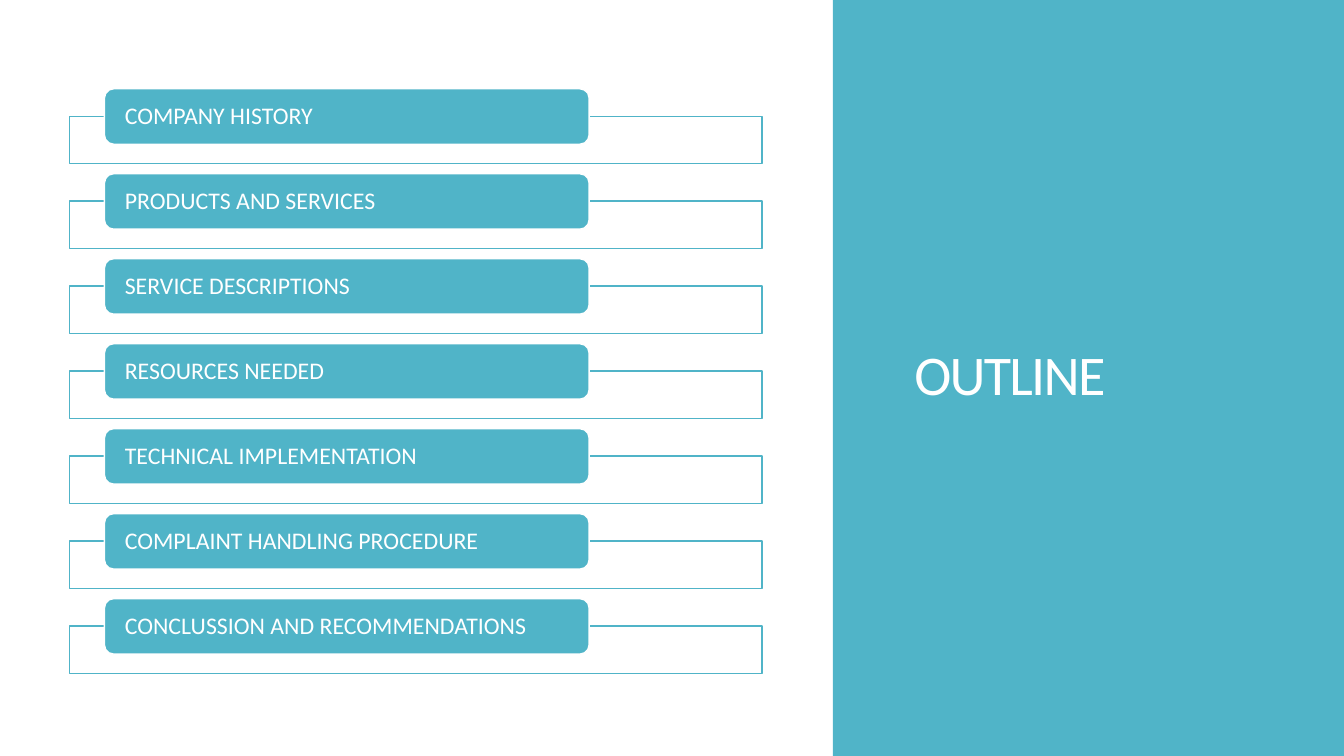
from pptx import Presentation
from pptx.dml.color import RGBColor
from pptx.enum import shapes, text
from pptx.util import Pt

TEAL = "50B4C8"
WHITE = "FFFFFF"


def color(value):
    return RGBColor.from_string(value)


def write(shape, content, size, margin, line_spacing, tracking=None):
    frame = shape.text_frame
    frame.word_wrap = True
    frame.vertical_anchor = text.MSO_ANCHOR.MIDDLE
    frame.margin_left = frame.margin_right = Pt(margin)
    frame.margin_top = frame.margin_bottom = 0
    paragraph = frame.paragraphs[0]
    paragraph.alignment = text.PP_ALIGN.LEFT
    paragraph.line_spacing = line_spacing
    run = paragraph.add_run()
    run.text = content
    run.font.name = "Calibri"
    run.font.size = Pt(size)
    run.font.color.rgb = color(WHITE)
    if tracking is not None:
        run.font._element.set("spc", str(int(tracking * 100)))


presentation = Presentation()
presentation.slide_width = Pt(960)
presentation.slide_height = Pt(540)
slide = presentation.slides.add_slide(presentation.slide_layouts[6])

# Title panel on the right
panel = slide.shapes.add_shape(
    shapes.MSO_SHAPE.RECTANGLE, Pt(595), 0, Pt(365), Pt(540))
panel.shadow.inherit = False
panel.fill.solid()
panel.fill.fore_color.rgb = color(TEAL)
panel.line.fill.background()

title = slide.shapes.add_textbox(Pt(646), Pt(50.4), Pt(263.5), Pt(440))
write(title, "OUTLINE", size=40, margin=7.2, line_spacing=0.85, tracking=-1.2)

# Outline items: an open frame with a label over its top edge
items = [
    "COMPANY HISTORY",
    "PRODUCTS AND SERVICES",
    "SERVICE DESCRIPTIONS",
    "RESOURCES NEEDED",
    "TECHNICAL IMPLEMENTATION",
    "COMPLAINT HANDLING PROCEDURE",
    "CONCLUSSION AND RECOMMENDATIONS",
]
first_top = 63.4
pitch = 60.7

for index, item in enumerate(items):
    top = first_top + index * pitch
    frame_box = slide.shapes.add_shape(
        shapes.MSO_SHAPE.RECTANGLE, Pt(49.6), Pt(top + 19.6), Pt(494.8), Pt(34))
    label = slide.shapes.add_shape(
        shapes.MSO_SHAPE.ROUNDED_RECTANGLE, Pt(74.6), Pt(top), Pt(346.2), Pt(39.6))
    for shape, fill, line in ((frame_box, WHITE, TEAL), (label, TEAL, WHITE)):
        shape.shadow.inherit = False
        shape.fill.solid()
        shape.fill.fore_color.rgb = color(fill)
        shape.line.color.rgb = color(line)
        shape.line.width = Pt(1)
    write(label, item, size=17, margin=12.6, line_spacing=0.9)

presentation.save("out.pptx")
